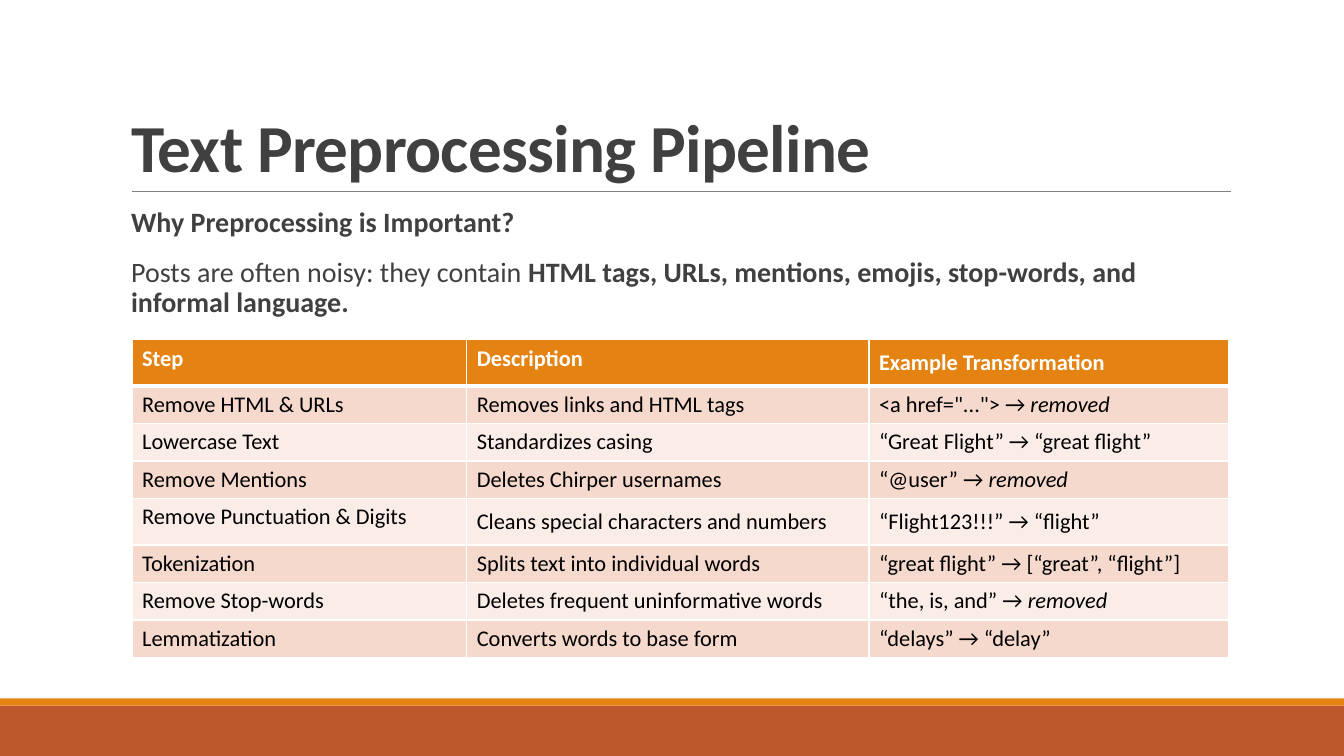
import dataclasses

import pptx
import pptx.dml.color
import pptx.enum.shapes
import pptx.enum.text
import pptx.oxml.ns
import pptx.util
from lxml import etree

Inches = pptx.util.Inches
Pt = pptx.util.Pt
qn = pptx.oxml.ns.qn
ANCHOR = pptx.enum.text.MSO_ANCHOR


@dataclasses.dataclass(frozen=True)
class Theme:
    font: str = "Calibri"
    text: str = "404040"
    rule: str = "808080"
    orange: str = "E48312"
    rust: str = "BD582C"
    white: str = "FFFFFF"
    black: str = "000000"
    bands: tuple = ("F5D9CC", "FAEDE7")
    title_size: int = 48
    body_size: int = 20
    table_size: int = 16


THEME = Theme()

# Each paragraph is a list of (text, bold) parts
INTRO = [
    [("Why Preprocessing is Important?", True)],
    [("Posts are often noisy: they contain ", False),
     ("HTML tags, URLs, mentions, emojis, stop-words, and informal language.", True)],
]
REMOVED = "removed"
STEPS = [
    ("Step", "Description", "Example Transformation"),
    ("Remove HTML & URLs", "Removes links and HTML tags", '<a href="..."> → removed'),
    ("Lowercase Text", "Standardizes casing", "“Great Flight” → “great flight”"),
    ("Remove Mentions", "Deletes Chirper usernames", "“@user” → removed"),
    ("Remove Punctuation & Digits", "Cleans special characters and numbers",
     "“Flight123!!!” → “flight”"),
    ("Tokenization", "Splits text into individual words",
     "“great flight” → [“great”, “flight”]"),
    ("Remove Stop-words", "Deletes frequent uninformative words",
     "“the, is, and” → removed"),
    ("Lemmatization", "Converts words to base form", "“delays” → “delay”"),
]
COLUMN_WIDTHS = (3.32, 3.99, 3.57)
ROW_HEIGHT, TALL_ROW_HEIGHT = 0.37, 0.46
TALL_ROWS = (0, 4)


def rgb(color):
    return pptx.dml.color.RGBColor.from_string(color)


def add_part(paragraph, text, size, color, bold=False, italic=False):
    run = paragraph.add_run()
    run.text = text
    run.font.name, run.font.size = THEME.font, Pt(size)
    run.font.color.rgb = rgb(color)
    run.font.bold, run.font.italic = bold, italic
    return run


def place(shape, box):
    shape.left, shape.top, shape.width, shape.height = map(Inches, box)


def add_footer_bands(slide, box):
    left, top, width, height = box
    stripe = 0.07
    for band_top, band_height, color in (
            (top + stripe, height - stripe, THEME.rust), (top, stripe, THEME.orange)):
        band = slide.shapes.add_shape(
            pptx.enum.shapes.MSO_SHAPE.RECTANGLE,
            *map(Inches, (left, band_top, width, band_height)))
        band.shadow.inherit = False
        band.fill.solid()
        band.fill.fore_color.rgb = rgb(color)
        band.line.fill.background()


def add_title(slide, box):
    left, top, width, height = box
    title = slide.shapes.title
    place(title, box)
    frame = title.text_frame
    frame.auto_size = pptx.enum.text.MSO_AUTO_SIZE.NONE
    frame.vertical_anchor = ANCHOR.BOTTOM
    heading = frame.paragraphs[0]
    heading.alignment = pptx.enum.text.PP_ALIGN.LEFT
    heading.line_spacing = 0.85
    run = add_part(heading, "Text Preprocessing Pipeline", THEME.title_size, THEME.text, True)
    run.font._element.set("spc", "-50")

    # Rule under the title
    bottom = top + height
    rule = slide.shapes.add_connector(
        pptx.enum.shapes.MSO_CONNECTOR.STRAIGHT,
        *map(Inches, (left + 0.11, bottom, left + width + 0.01, bottom)))
    rule.line.color.rgb = rgb(THEME.rule)
    rule.line.width = Pt(0.5)
    etree.SubElement(rule._element.spPr, qn("a:effectLst"))


def add_blank_bullet(paragraph):
    properties = paragraph._p.get_or_add_pPr()
    properties.set("marL", str(Inches(0.1)))
    properties.set("indent", str(Inches(-0.1)))
    bullet_color = etree.SubElement(properties, qn("a:buClr"))
    etree.SubElement(bullet_color, qn("a:srgbClr"), val=THEME.orange)
    etree.SubElement(properties, qn("a:buChar"), char=" ")


def add_intro(slide, box):
    body = slide.placeholders[1]
    place(body, box)
    frame = body.text_frame
    frame.auto_size = pptx.enum.text.MSO_AUTO_SIZE.NONE
    frame.margin_left = frame.margin_right = 0
    for index, parts in enumerate(INTRO):
        paragraph = frame.add_paragraph() if index else frame.paragraphs[0]
        add_blank_bullet(paragraph)
        paragraph.line_spacing = 0.9
        paragraph.space_before = Pt(12 if index else 0)
        paragraph.space_after = Pt(2)
        for text, bold in parts:
            add_part(paragraph, text, THEME.body_size, THEME.text, bold)


def set_borders(cell, row):
    widths = {"L": 1, "R": 1, "T": 3 if row == 1 else 1, "B": 3 if row == 0 else 1}
    properties = cell._tc.get_or_add_tcPr()
    for side, width in widths.items():
        border = etree.SubElement(properties, qn(f"a:ln{side}"), w=str(Pt(width)))
        fill = etree.SubElement(border, qn("a:solidFill"))
        etree.SubElement(fill, qn("a:srgbClr"), val=THEME.white)


def fill_cell(cell, text, row, column):
    header = row == 0
    set_borders(cell, row)
    cell.fill.solid()
    cell.fill.fore_color.rgb = rgb(THEME.orange if header else THEME.bands[(row - 1) % 2])
    centred = column == 2 or (column == 1 and not header)
    cell.vertical_anchor = ANCHOR.MIDDLE if centred else ANCHOR.TOP
    paragraph = cell.text_frame.paragraphs[0]
    color = THEME.white if header else THEME.black
    plain = text.removesuffix(REMOVED)
    add_part(paragraph, plain, THEME.table_size, color, header)
    if plain != text:
        add_part(paragraph, REMOVED, THEME.table_size, color, italic=True)


def add_steps_table(slide, box):
    table = slide.shapes.add_table(
        len(STEPS), len(COLUMN_WIDTHS), *map(Inches, box)).table
    for column, width in zip(table.columns, COLUMN_WIDTHS):
        column.width = Inches(width)
    for row, step in enumerate(STEPS):
        table.rows[row].height = Inches(TALL_ROW_HEIGHT if row in TALL_ROWS else ROW_HEIGHT)
        for column, text in enumerate(step):
            fill_cell(table.cell(row, column), text, row, column)


def main():
    deck = pptx.Presentation()
    deck.slide_width, deck.slide_height = Inches(13.33), Inches(7.5)
    slide = deck.slides.add_slide(deck.slide_layouts[1])
    add_footer_bands(slide, (0, 6.93, 13.33, 0.57))
    add_title(slide, (1.2, 0.31, 11, 1.59))
    add_intro(slide, (1.2, 2.02, 11, 4.4))
    add_steps_table(slide, (1.31, 3.37, sum(COLUMN_WIDTHS), 3.14))
    deck.save("out.pptx")


if __name__ == "__main__":
    main()
